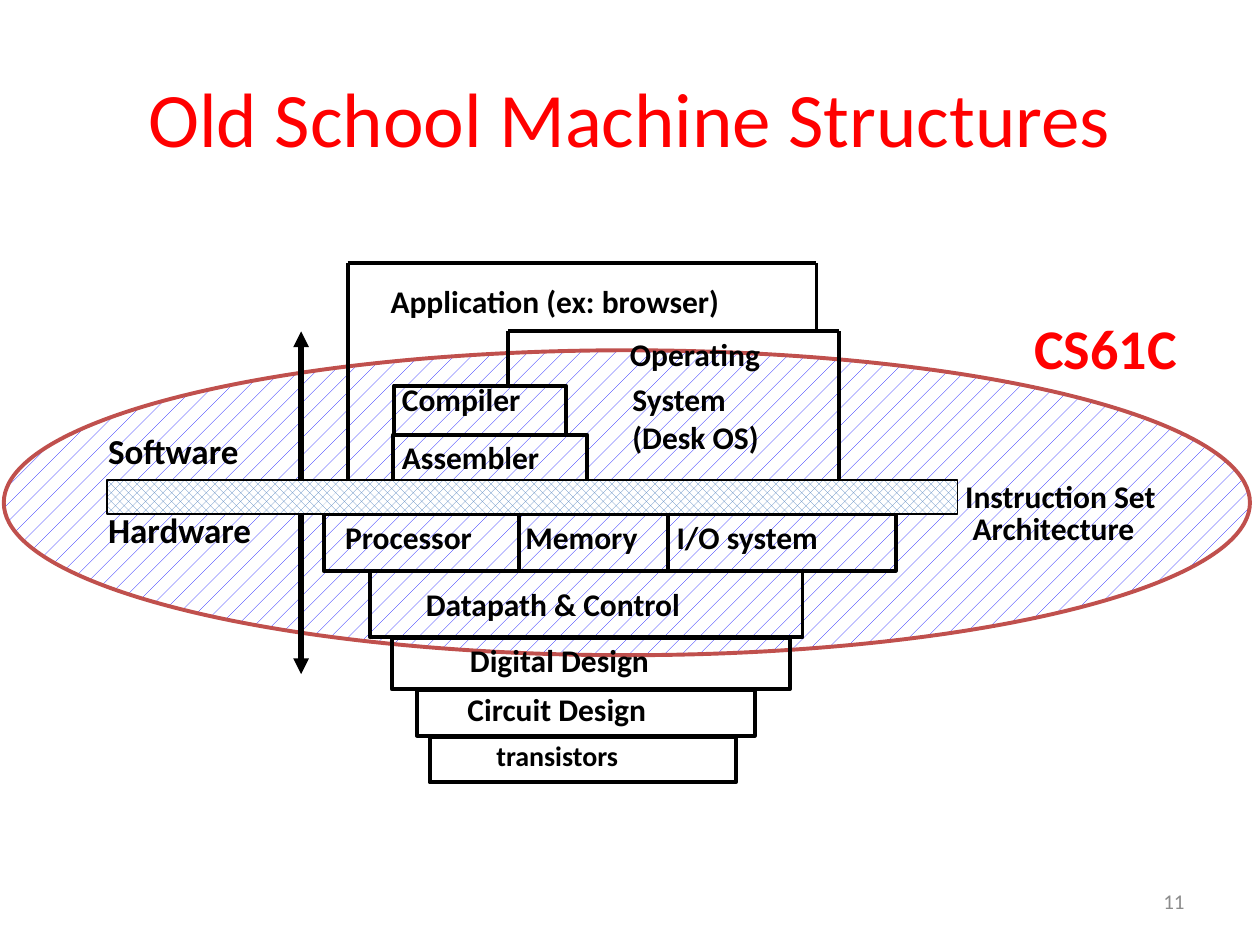
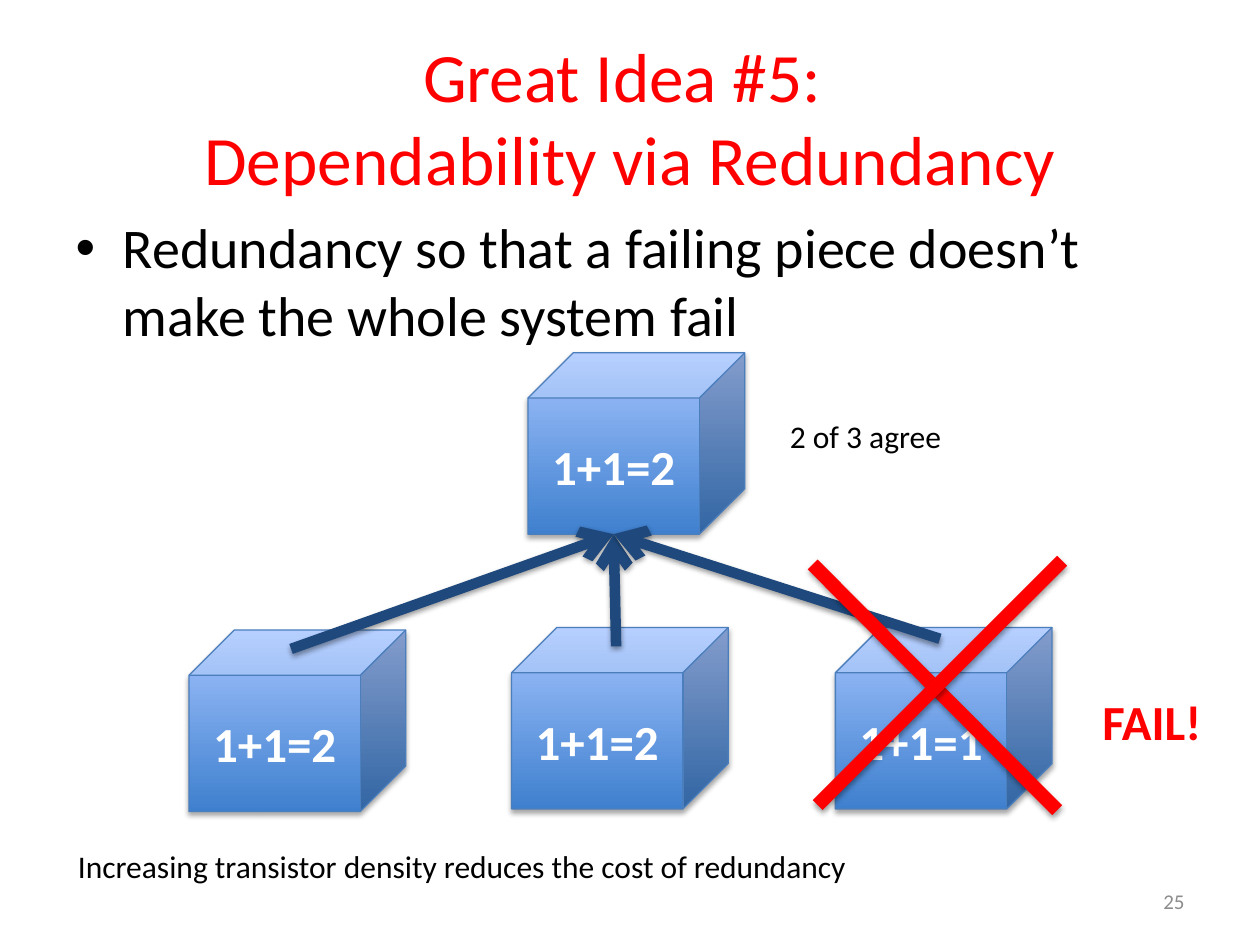
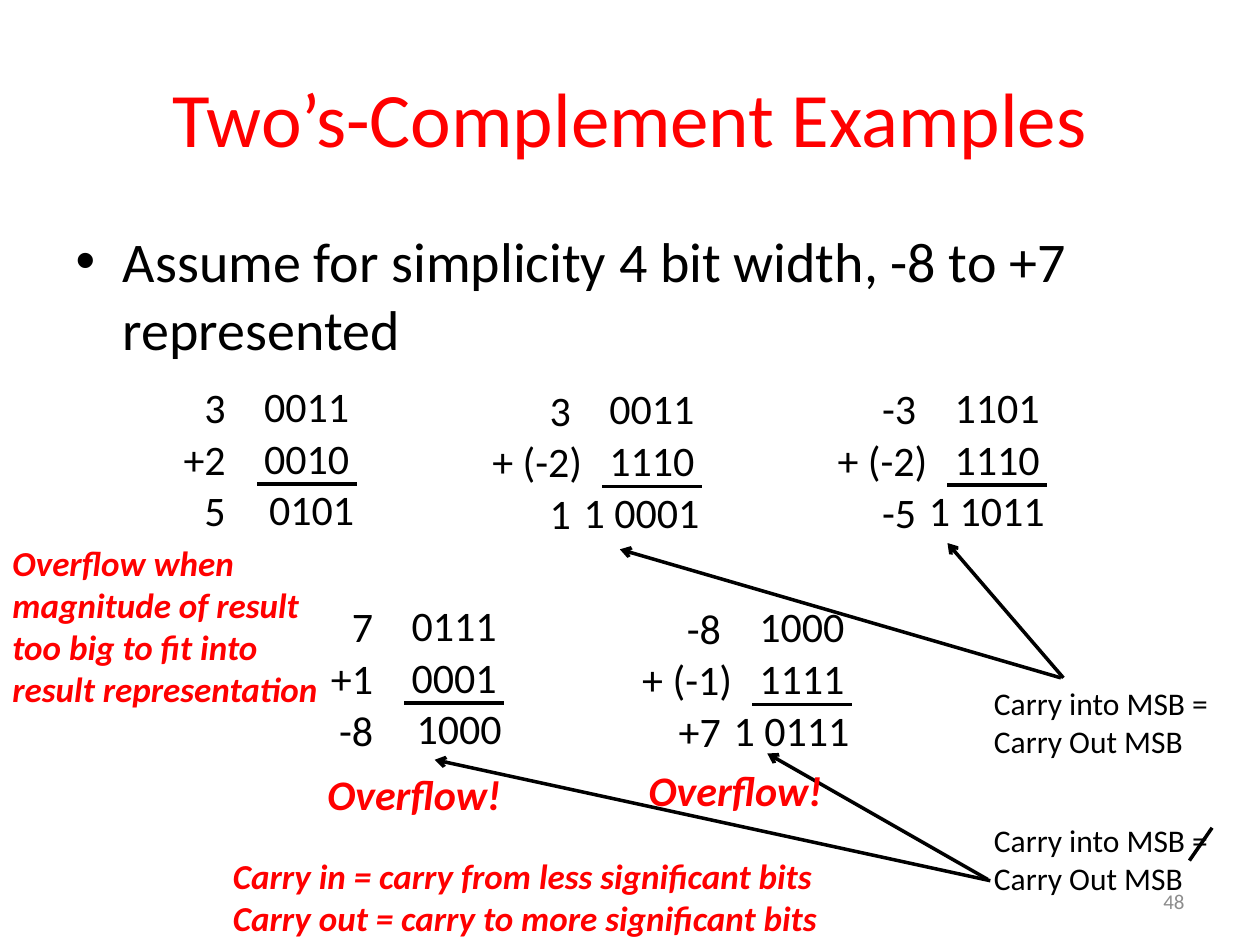
from lxml.etree import SubElement
from pptx import Presentation
from pptx.dml.color import RGBColor
from pptx.enum.dml import MSO_PATTERN
from pptx.enum.shapes import MSO_CONNECTOR, MSO_SHAPE
from pptx.enum.text import MSO_ANCHOR, MSO_AUTO_SIZE, PP_ALIGN
from pptx.oxml.ns import qn
from pptx.util import Inches, Pt

FONT = "Calibri"
BLACK, WHITE, RED, GREY = "000000", "FFFFFF", "FF0000", "8C8C8C"
NAVY, EDGE, DEEP, PALE = "1F497D", "4B7EBC", "3F80CE", "A4C4FF"


def color(code):
    return RGBColor.from_string(code)


def box(*lengths):
    return [Inches(n) for n in lengths]


# Text
def write(par, words, size, tint=BLACK, bold=False, slant=False):
    run = par.add_run()
    run.text = words
    font = run.font
    font.name, font.size = FONT, Pt(size)
    font.bold, font.italic = bold, slant
    font.color.rgb = color(tint)


def text(slide, at, lines, size=18, tint=BLACK, bold=False, slant=False,
         align=PP_ALIGN.LEFT, wrap=True, inset=(0.1, 0.05)):
    frame = slide.shapes.add_textbox(*box(*at)).text_frame
    frame.word_wrap = wrap
    frame.margin_left = frame.margin_right = Inches(inset[0])
    frame.margin_top = frame.margin_bottom = Inches(inset[1])
    for i, line in enumerate(lines):
        par = frame.add_paragraph() if i else frame.paragraphs[0]
        par.alignment = align
        write(par, line, size, tint, bold, slant)
    return frame


def tag(slide, x, y, *lines, size=18):
    text(slide, (x, y, 3.5, 0.3 * len(lines) + 0.06), lines, size,
         bold=True, inset=(0.07, 0.03))


# Slide with title, page number and optional bullet
def page(deck, number, title, size=44, point=None, place=None):
    slide = deck.slides.add_slide(deck.slide_layouts[1 if point else 5])
    frame = slide.shapes.title.text_frame
    frame.auto_size = MSO_AUTO_SIZE.NONE
    par = frame.paragraphs[0]
    for i, line in enumerate(title):
        if i:
            par.add_line_break()
        write(par, line, size, RED)
    if point:
        body = slide.placeholders[1]
        body.left, body.top, body.width, body.height = box(*place)
        body.text_frame.auto_size = MSO_AUTO_SIZE.NONE
        par = body.text_frame.paragraphs[0]
        par.space_before = Pt(0)
        write(par, point, 32)
    frame = text(slide, (7.17, 6.95, 2.33, 0.4), [number], 12, GREY,
                 align=PP_ALIGN.RIGHT)
    frame.vertical_anchor = MSO_ANCHOR.MIDDLE
    return slide


# Shapes and lines
def shade(effects, alpha, dist):
    shadow = SubElement(effects, qn("a:outerShdw"), blurRad=str(Pt(3.1)),
                        dist=str(Pt(dist)), dir="5400000", rotWithShape="0")
    tint = SubElement(shadow, qn("a:srgbClr"), val=BLACK)
    SubElement(tint, qn("a:alpha"), val=str(alpha * 1000))


def shape(slide, kind, at, edge=BLACK, width=2.25):
    item = slide.shapes.add_shape(kind, *box(*at))
    item.shadow.inherit = False
    item.fill.background()
    item.line.color.rgb = color(edge)
    item.line.width = Pt(width)
    return item


def hatch(item, pattern, tint):
    item.fill.patterned()
    item.fill.pattern = pattern
    item.fill.fore_color.rgb = color(tint)
    item.fill.back_color.rgb = color(WHITE)


def line(slide, start, end, width=2, tint=BLACK, head=None, shadow=False):
    item = slide.shapes.add_connector(MSO_CONNECTOR.STRAIGHT,
                                      *box(*start, *end))
    item.line.color.rgb = color(tint)
    item.line.width = Pt(width)
    if head:
        SubElement(item.line._get_or_add_ln(), qn("a:tailEnd"), type=head)
    effects = SubElement(item._element.spPr, qn("a:effectLst"))
    if shadow:
        shade(effects, 38, 1.6)


def path_of(slide, *points):
    for start, end in zip(points, points[1:]):
        line(slide, start, end, 2.25)


def cube(slide, x, y, words):
    item = shape(slide, MSO_SHAPE.CUBE, (x, y, 1.72, 1.44), EDGE, 0.75)
    item.fill.gradient()
    item.fill.gradient_angle = 90
    for stop, tint in zip(item.fill.gradient_stops, (DEEP, PALE)):
        stop.color.rgb = color(tint)
    shade(item._element.spPr.find(qn("a:effectLst")), 35, 1.8)
    par = item.text_frame.paragraphs[0]
    par.alignment = PP_ALIGN.CENTER
    write(par, words, 28, WHITE, bold=True)


# Sum in decimal and in bits; x is the left of the bit column
def add_up(slide, x, y, numbers, bits):
    for i, (number, bit) in enumerate(zip(numbers, bits)):
        top = y + 0.41 * i
        hang = 0.09 if number.endswith(")") else 0
        shift = 0.04 if i == 2 else 0
        for words, right, drop in ((number, x - 0.1 + hang, 0.01),
                                   (bit, x + 0.88 + shift, 0)):
            text(slide, (right - 1.3, top + drop, 1.3, 0.5), [words], 24,
                 align=PP_ALIGN.RIGHT)
    line(slide, (x + 0.05, y + 0.87), (x + 0.84, y + 0.87))


def layers(deck):
    slide = page(deck, "11", ["Old School Machine Structures"])
    scope = shape(slide, MSO_SHAPE.OVAL, (0.03, 2.78, 9.89, 2.42), "C0504D")
    hatch(scope, MSO_PATTERN.PERCENT_5, "0000FF")
    text(slide, (8.11, 2.44, 1.81, 0.64), ["CS61C"], 32, RED, True)

    # Boxes of the stack
    for at in ((3.13, 3.06, 1.36, 0.39), (3.12, 3.45, 1.54, 0.39),
               (2.57, 4.08, 4.54, 0.45), (2.94, 4.53, 3.43, 0.53),
               (3.11, 5.06, 3.16, 0.41), (3.31, 5.48, 2.68, 0.36),
               (3.41, 5.85, 2.43, 0.36)):
        shape(slide, MSO_SHAPE.RECTANGLE, at)

    # Application and system outlines, hardware dividers
    path_of(slide, (2.76, 3.81), (2.76, 2.09), (6.48, 2.09), (6.48, 2.62))
    path_of(slide, (4.03, 3.06), (4.03, 2.63), (6.66, 2.63), (6.66, 3.89))
    for x in (4.12, 5.3):
        path_of(slide, (x, 4.08), (x, 4.53))

    # Instruction set band and its two directions
    band = shape(slide, MSO_SHAPE.RECTANGLE, (0.85, 3.81, 6.75, 0.27), width=1)
    hatch(band, MSO_PATTERN.PERCENT_50, "4F81BD")
    for start, end in ((3.81, 2.63), (4.08, 5.35)):
        line(slide, (2.39, start), (2.39, end), 3, head="triangle")

    for x, y, words in (
            (3.03, 2.21, "Application (ex: browser)"),
            (4.93, 2.63, "Operating"),
            (3.12, 2.99, "Compiler"), (3.12, 3.45, "Assembler"),
            (2.67, 4.08, "Processor"), (4.1, 4.08, "Memory"),
            (5.3, 4.08, "I/O system"), (3.31, 4.61, "Datapath & Control"),
            (3.66, 5.06, "Digital Design"), (3.64, 5.45, "Circuit Design"),
            (7.59, 3.76, "Instruction Set"), (7.65, 4.01, "Architecture")):
        tag(slide, x, y, words)
    tag(slide, 4.95, 2.99, "System", "(Desk OS)")
    tag(slide, 3.87, 5.83, "transistors", size=16)
    for y, words in ((3.36, "Software"), (3.99, "Hardware")):
        text(slide, (0.76, y, 1.6, 0.44), [words], 20, bold=True)


def spares(deck):
    slide = page(deck, "25",
                 ["Great Idea #5: ", "Dependability via Redundancy"], 39.6,
                 "Redundancy so that a failing piece doesn’t make the "
                 "whole system fail", (0.5, 1.64, 9.26, 1.32))
    for x, y, words in ((1.5, 5, "1+1=2"), (4.06, 4.98, "1+1=2"),
                        (6.63, 4.98, "1+1=1"), (4.19, 2.8, "1+1=2")):
        cube(slide, x, y, words)

    # Votes, then the cross over the failing cube
    for start in ((2.31, 5.15), (4.89, 5.13), (7.46, 5.07)):
        line(slide, start, (4.87, 4.24), 6, NAVY, "arrow", True)
    for start, end in (((6.45, 4.48), (8.39, 6.43)),
                       ((8.43, 4.45), (6.49, 6.39))):
        line(slide, start, end, 8, RED, shadow=True)

    text(slide, (6.17, 3.26, 1.42, 0.4), ["2 of 3 agree"], wrap=False)
    text(slide, (8.65, 5.44, 1.02, 0.57), ["FAIL!"], 28, RED, True, wrap=False)
    text(slide, (0.52, 6.67, 6.39, 0.4),
         ["Increasing transistor density reduces the cost of redundancy"],
         wrap=False)


def sums(deck):
    slide = page(deck, "48", ["Two’s-Complement Examples"], 44,
                 "Assume for simplicity 4 bit width, -8 to +7 represented",
                 (0.5, 1.75, 9, 1.24))
    for x, y, numbers, bits in (
            (1.99, 2.97, ("3", "+2", "5"), ("0011", "0010", "0101")),
            (4.73, 2.99, ("3", "+ (-2)", "1"), ("0011", "1110", "1 0001")),
            (7.47, 2.98, ("-3", "+ (-2)", "-5"), ("1101", "1110", "1 1011")),
            (3.16, 4.71, ("7", "+1", "-8"), ("0111", "0001", "1000")),
            (5.92, 4.72, ("-8", "+ (-1)", "+7"), ("1000", "1111", "1 0111"))):
        add_up(slide, x, y, numbers, bits)

    # Carry rules and the sums they point at
    for y in (5.38, 6.47):
        text(slide, (7.79, y, 1.92, 0.71),
             ["Carry into MSB =", "Carry Out MSB"], wrap=False)
    for start, end in (((8.44, 5.38), (7.52, 4.31)),
                       ((8.42, 5.38), (4.92, 4.36)),
                       ((7.84, 6.98), (6.09, 5.98)),
                       ((7.86, 6.99), (3.45, 6.03))):
        line(slide, start, end, head="arrow")
    line(slide, (9.44, 6.83), (9.62, 6.57))

    # Red remarks
    for at, size, lines in (
            ((2.5, 6.05, 1.67, 0.5), 24, ["Overflow!"]),
            ((5.05, 6.02, 1.67, 0.5), 24, ["Overflow!"]),
            ((0, 4.25, 2.71, 1.45), 20,
             ["Overflow when magnitude of result too big to fit into "
              "result representation"]),
            ((1.75, 6.73, 4.92, 0.77), 20,
             ["Carry in = carry from less significant bits",
              "Carry out = carry to more significant bits"])):
        text(slide, at, lines, size, RED, True, True)


def main():
    deck = Presentation()
    deck.slide_width, deck.slide_height = box(10, 7.5)
    layers(deck)
    spares(deck)
    sums(deck)
    deck.save("out.pptx")


if __name__ == "__main__":
    main()
